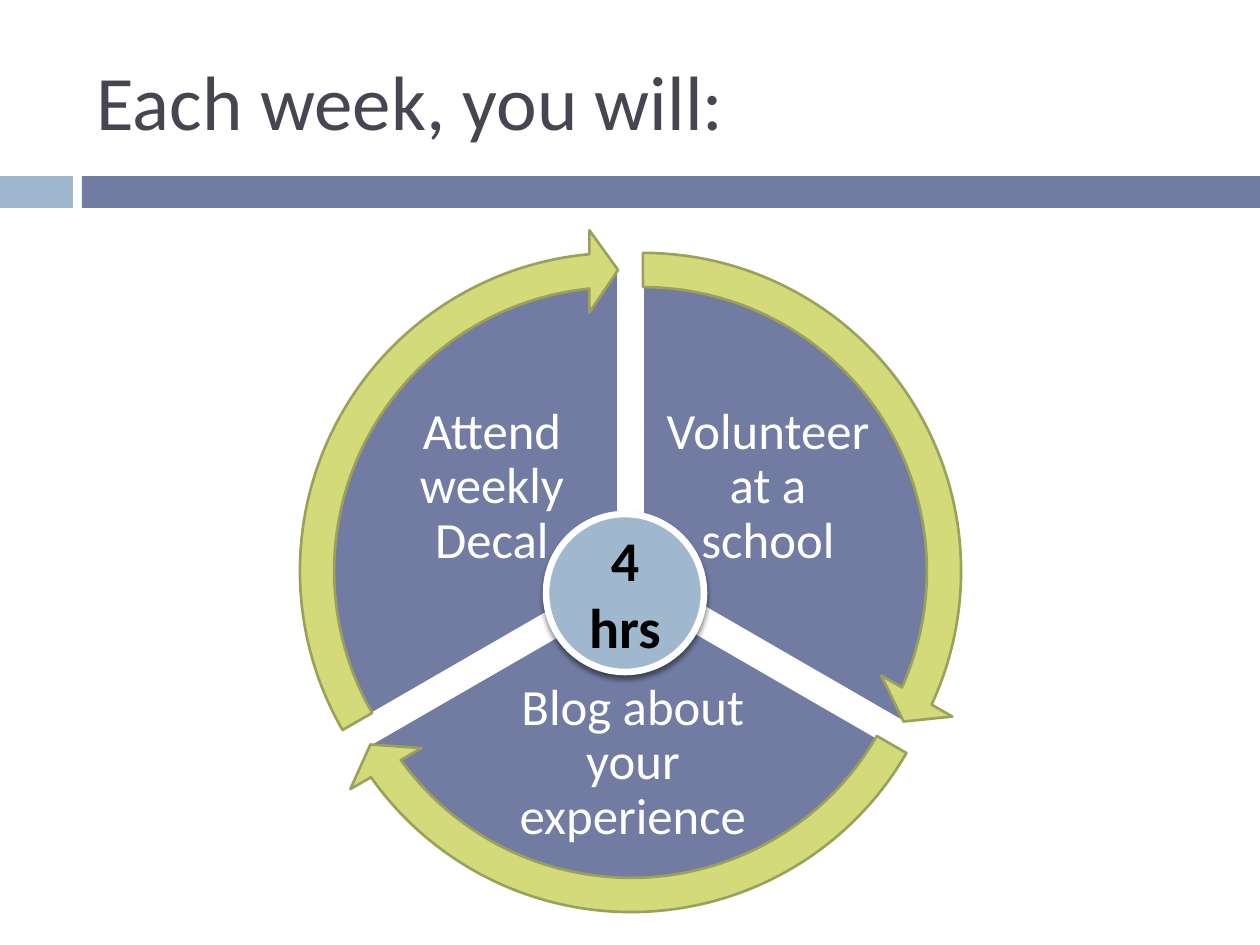
from dataclasses import dataclass

from lxml.etree import SubElement
from pptx import Presentation
from pptx.dml.color import RGBColor
from pptx.enum.shapes import MSO_SHAPE
from pptx.enum.text import MSO_ANCHOR, PP_ALIGN
from pptx.oxml.ns import qn
from pptx.util import Emu, Pt

PX_PER_INCH = 126


def px(n):
    return Emu(round(n * 914400 / PX_PER_INCH))


@dataclass(frozen=True)
class Theme:
    font: str = "Calibri"
    title: str = "464653"
    purple: str = "727CA3"
    blue: str = "9FB8CD"
    green: str = "D2DA7A"
    olive: str = "9BA15A"
    white: str = "FFFFFF"
    black: str = "000000"
    title_size: int = 44
    hub_size: int = 32
    label_size: int = 29


class Deck:
    def __init__(self, theme):
        self.theme = theme
        self.prs = Presentation()
        self.prs.slide_width, self.prs.slide_height = px(1260), px(945)
        self.s = None

    def add_slide(self):
        self.s = self.prs.slides.add_slide(self.prs.slide_layouts[5])

    def set_text(self, sp, text, size, color, align=PP_ALIGN.CENTER, bold=False):
        tf = sp.text_frame
        tf.text = text
        tf.word_wrap = True
        tf.vertical_anchor = MSO_ANCHOR.MIDDLE
        p = tf.paragraphs[0]
        p.alignment = align
        p.font.name, p.font.size, p.font.bold = self.theme.font, Pt(size), bold
        p.font.color.rgb = RGBColor.from_string(color)
        return tf

    def title(self, text, x, y, w, h):
        sp = self.s.shapes.title
        sp.left, sp.top, sp.width, sp.height = map(px, (x, y, w, h))
        self.set_text(sp, text, self.theme.title_size, self.theme.title, PP_ALIGN.LEFT)

    def shape(self, kind, x, y, w, h, fill, line=None, line_width=1.5, adjustments=()):
        sp = self.s.shapes.add_shape(kind, *map(px, (x, y, w, h)))
        sp.shadow.inherit = False
        sp.fill.solid()
        sp.fill.fore_color.rgb = RGBColor.from_string(fill)
        if line:
            sp.line.color.rgb = RGBColor.from_string(line)
            sp.line.width = Pt(line_width)
        else:
            sp.line.fill.background()
        for i, value in enumerate(adjustments):
            sp.adjustments[i] = value
        return sp

    def label(self, text, x, y, w, h):
        sp = self.s.shapes.add_textbox(*map(px, (x, y, w, h)))
        tf = self.set_text(sp, text, self.theme.label_size, self.theme.white)
        tf.margin_left = tf.margin_right = tf.margin_top = tf.margin_bottom = px(5)
        tf.paragraphs[0].line_spacing = 0.9

    def wedge(self, x, y, start, end):
        """Pie slice; angles are in the preset's units of 5/3 degree."""
        self.shape(MSO_SHAPE.PIE, x, y, 609, 609, self.theme.purple,
                   self.theme.white, adjustments=(start, end))

    def arrow(self, x, y, start, end):
        self.shape(MSO_SHAPE.CIRCULAR_ARROW, x, y, 684, 684, self.theme.green,
                   self.theme.olive, adjustments=(0.05, 3.28, end, start, 0.06))

    def hub(self, text, x, y, size):
        sp = self.shape(MSO_SHAPE.OVAL, x, y, size, size, self.theme.blue,
                        self.theme.white, 3.75)
        self.set_text(sp, text, self.theme.hub_size, self.theme.black, bold=True)
        effects = sp.element.spPr.find(qn("a:effectLst"))
        shadow = SubElement(effects, qn("a:outerShdw"), blurRad=str(Pt(3)),
                            dist=str(Pt(2.4)), dir="5400000", rotWithShape="0")
        color = SubElement(shadow, qn("a:srgbClr"), val=self.theme.black)
        SubElement(color, qn("a:alpha"), val="45000")


# text, label box, wedge corner, wedge angles, arrow corner, arrow angles
STEPS = [
    ("Volunteer at a school", (659, 397, 218, 181),
     (338, 267), (162, 18), (301, 229), (161.99, 14.73)),
    ("Blog about your experience", (470, 684, 326, 159),
     (325, 290), (18, 90), (289, 252), (18, 86.72)),
    ("Attend weekly Decal", (383, 397, 218, 181),
     (314, 267), (90, 162), (276, 229), (90, 158.73)),
]


def main():
    theme = Theme()
    deck = Deck(theme)
    deck.add_slide()
    deck.shape(MSO_SHAPE.RECTANGLE, 0, 176, 73, 32, theme.blue)
    deck.shape(MSO_SHAPE.RECTANGLE, 82, 176, 1178, 32, theme.purple)
    deck.title("Each week, you will:", 84, 32, 1124, 136)
    for text, box, corner, angles, _, _ in STEPS:
        deck.wedge(*corner, *angles)
        deck.label(text, *box)
    for *_, corner, angles in STEPS:
        deck.arrow(*corner, *angles)
    deck.hub("4 hrs", 546, 514, 158)
    deck.prs.save("out.pptx")


if __name__ == "__main__":
    main()
